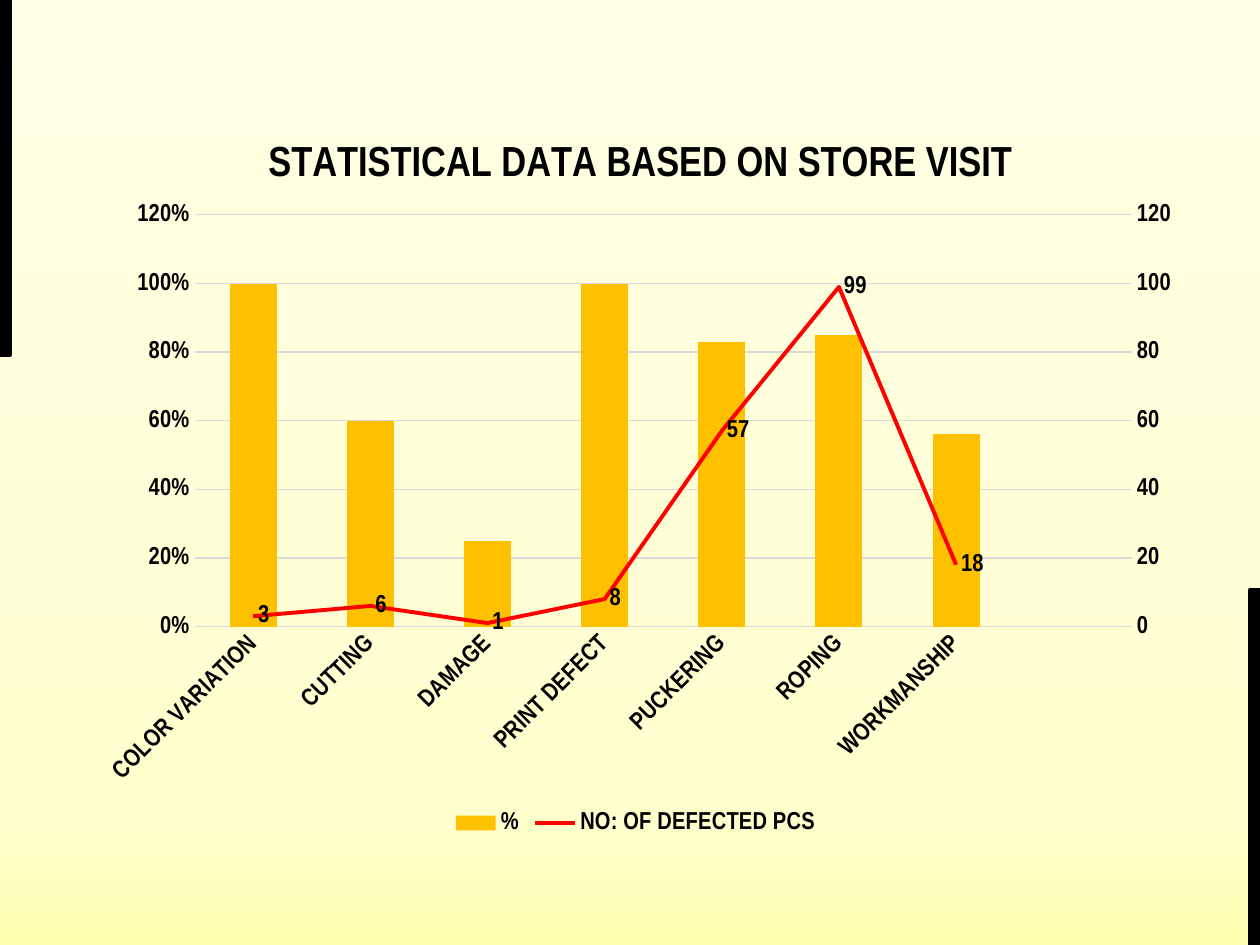
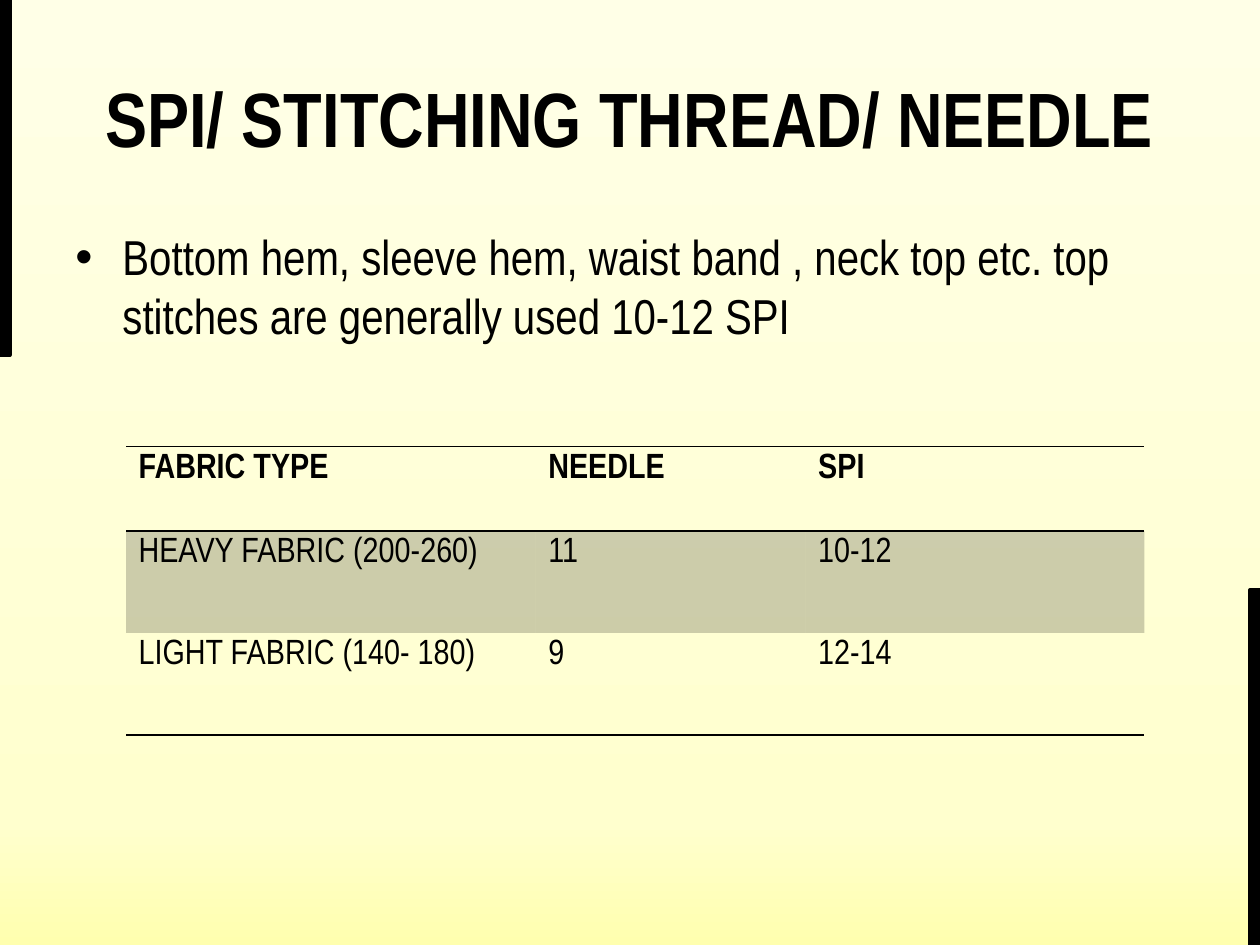
"""Build two slides on garment defects and stitching settings."""
from copy import deepcopy
from dataclasses import dataclass

from lxml.etree import SubElement
from pptx import Presentation
from pptx.chart.axis import ValueAxis
from pptx.chart.data import CategoryChartData
from pptx.dml.color import RGBColor
from pptx.enum.chart import (XL_CHART_TYPE, XL_LABEL_POSITION, XL_LEGEND_POSITION,
                             XL_MARKER_STYLE, XL_TICK_MARK)
from pptx.enum.shapes import MSO_SHAPE
from pptx.enum.text import MSO_ANCHOR, PP_ALIGN
from pptx.oxml import parse_xml
from pptx.oxml.ns import nsdecls, qn
from pptx.util import Cm, Pt


@dataclass(frozen=True)
class Theme:
    """Colours, type sizes and the font of the deck."""
    font: str = "Arial Narrow"
    ink: str = "000000"
    bar: str = "FFC000"
    trend: str = "FF0000"
    grid: str = "D9D9D9"
    gradient: tuple = ((0, "FFFFAF"), (13, "FFFFCE"), (100, "FFFFE7"))
    title: int = 44
    body: int = 28
    table: int = 20
    chart_title: int = 24
    chart: int = 14


THEME = Theme()
WIDTH, HEIGHT = 25.4, 19.05
NO_TABLE_STYLE = "{2D5ABB26-0587-4C30-8999-92F81FD0307C}"

CATEGORIES = ("COLOR VARIATION", "CUTTING", "DAMAGE", "PRINT DEFECT",
              "PUCKERING", "ROPING", "WORKMANSHIP", "")
SHARES = (1, 0.6, 0.25, 1, 0.83, 0.85, 0.56, None)
PIECES = (3, 6, 1, 8, 57, 99, 18, None)

FABRICS = (("FABRIC TYPE", "NEEDLE", "SPI"),
           ("HEAVY FABRIC (200-260)", "11", "10-12"),
           ("LIGHT FABRIC (140- 180)", "9", "12-14"))
COLUMN_WIDTHS = (8.26, 5.44, 6.83)
ROW_HEIGHTS = (1.7, 2.06, 2.06)


def color(value):
    """Turn a hex string into a colour."""
    return RGBColor.from_string(value)


def set_font(font, size, bold=False):
    """Apply the deck's font and ink."""
    font.name, font.size, font.bold = THEME.font, Pt(size), bold
    font.color.rgb = color(THEME.ink)


def add_span(para, text, size, bold=False):
    """Add one formatted run."""
    span = para.add_run()
    span.text = text
    set_font(span.font, size, bold)


def add_rectangle(page, left, top, width, height):
    """Add a rectangle without shadow."""
    box = page.shapes.add_shape(MSO_SHAPE.RECTANGLE, Cm(left), Cm(top), Cm(width), Cm(height))
    box.shadow.inherit = False
    return box


def add_backdrop(page):
    """Cover the page with the upward gradient."""
    box = add_rectangle(page, 0, 0, WIDTH, HEIGHT)
    box.line.fill.background()
    box.fill.gradient()
    box.fill.gradient_angle = 90
    stops = box._element.spPr.find(".//" + qn("a:gsLst"))
    for stop in list(stops):
        stops.remove(stop)
    for position, value in THEME.gradient:
        stop = SubElement(stops, qn("a:gs"), pos=str(position * 1000))
        SubElement(stop, qn("a:srgbClr"), val=value)


def add_edge_bars(page):
    """Add the black bars at the upper left and lower right edges."""
    width, height = 0.2, 7.16
    for left, top in ((0, 0), (WIDTH - width, HEIGHT - height)):
        bar = add_rectangle(page, left, top, width, height)
        bar.fill.solid()
        bar.fill.fore_color.rgb = color(THEME.ink)
        bar.line.color.rgb = color(THEME.ink)
        bar.line.width = Pt(2)


def add_page(deck):
    """Add a blank page with the backdrop."""
    page = deck.slides.add_slide(deck.slide_layouts[6])
    add_backdrop(page)
    return page


def add_text(page, top, height, text, size, bold=False):
    """Add a wrapped text box and return its frame and paragraph."""
    box = page.shapes.add_textbox(Cm(1.27), Cm(top), Cm(22.86), Cm(height))
    frame = box.text_frame
    frame.word_wrap = True
    para = frame.paragraphs[0]
    add_span(para, text, size, bold)
    return frame, para


def add_title(page, text):
    """Add the centred page title."""
    frame, para = add_text(page, 0.76, 3.18, text, THEME.title, True)
    frame.vertical_anchor = MSO_ANCHOR.MIDDLE
    para.alignment = PP_ALIGN.CENTER


def add_bullet(page, text):
    """Add a bulleted body paragraph."""
    _, para = add_text(page, 4.45, 12.57, text, THEME.body)
    para.space_before = Pt(THEME.body * 0.2)
    properties = para._p.get_or_add_pPr()
    properties.set("marL", str(Cm(0.95)))
    properties.set("indent", str(-Cm(0.95)))
    SubElement(properties, qn("a:buFont"), typeface="Arial")
    SubElement(properties, qn("a:buChar"), char="•")


def add_border(cell, side):
    """Rule one side of a cell."""
    line = SubElement(cell._tc.get_or_add_tcPr(), qn("a:" + side), w=str(Pt(1)))
    fill = SubElement(line, qn("a:solidFill"))
    SubElement(fill, qn("a:srgbClr"), val=THEME.ink)


def fill_cell(cell, shaded):
    """Shade a cell with translucent ink or leave it clear."""
    if not shaded:
        cell.fill.background()
        return
    cell.fill.solid()
    cell.fill.fore_color.rgb = color(THEME.ink)
    ink = cell._tc.tcPr.find(qn("a:solidFill") + "/" + qn("a:srgbClr"))
    SubElement(ink, qn("a:alpha"), val="20000")


def add_fabric_table(page):
    """Add the table of fabrics, needles and stitches per inch."""
    frame = page.shapes.add_table(len(FABRICS), len(COLUMN_WIDTHS), Cm(2.54), Cm(9),
                                  Cm(sum(COLUMN_WIDTHS)), Cm(sum(ROW_HEIGHTS)))
    table = frame.table
    table._tbl.tblPr.find(qn("a:tableStyleId")).text = NO_TABLE_STYLE
    table.horz_banding = False
    for column, width in zip(table.columns, COLUMN_WIDTHS):
        column.width = Cm(width)
    borders = (("lnT", "lnB"), (), ("lnB",))
    for row, (height, texts) in enumerate(zip(ROW_HEIGHTS, FABRICS)):
        table.rows[row].height = Cm(height)
        for column, text in enumerate(texts):
            cell = table.cell(row, column)
            add_span(cell.text_frame.paragraphs[0], text, THEME.table, row == 0)
            for side in borders[row]:
                add_border(cell, side)
            fill_cell(cell, row == 1)


def place(parent, index, inner=False, **fractions):
    """Give a chart part a manual layout in fractions of the chart."""
    for layout in parent.findall(qn("c:layout")):
        parent.remove(layout)
    layout = parse_xml(f"<c:layout {nsdecls('c')}><c:manualLayout/></c:layout>")
    manual = layout[0]
    if inner:
        SubElement(manual, qn("c:layoutTarget"), val="inner")
    for mode in ("xMode", "yMode"):
        SubElement(manual, qn("c:" + mode), val="edge")
    for name, value in fractions.items():
        SubElement(manual, qn("c:" + name), val=str(value))
    parent.insert(index, layout)


def style_axis(axis):
    """Set tick marks and labels of an axis."""
    axis.major_tick_mark = axis.minor_tick_mark = XL_TICK_MARK.NONE
    set_font(axis.tick_labels.font, THEME.chart, True)


def style_rule(line):
    """Draw a thin grey chart rule."""
    line.color.rgb = color(THEME.grid)
    line.width = Pt(0.75)


def scale_axis(axis, top, number_format):
    """Scale a value axis from zero in six steps."""
    axis.minimum_scale, axis.maximum_scale = 0, top
    axis.major_unit = round(top / 6, 2)
    axis.tick_labels.number_format = number_format
    axis.tick_labels.number_format_is_linked = False


def style_axes(chart):
    """Format the category axis and the left value axis."""
    category, value = chart.category_axis, chart.value_axis
    for axis in (category, value):
        style_axis(axis)
    style_rule(category.format.line)
    category.tick_labels.font.bold = True
    category._element.find(qn("c:txPr")).find(qn("a:bodyPr")).set("rot", "-2700000")
    value.format.line.fill.background()
    style_rule(value.major_gridlines.format.line)
    scale_axis(value, 1.2, "0%")


def move_to_right_axis(chart):
    """Turn the second series into a line on a right-hand axis."""
    area = chart._chartSpace.chart.plotArea
    bars = area.find(qn("c:barChart"))
    series = bars.findall(qn("c:ser"))[1]
    bars.remove(series)
    for inverted in series.findall(qn("c:invertIfNegative")):
        series.remove(inverted)
    lines = parse_xml(f"<c:lineChart {nsdecls('c')}><c:grouping val='standard'/>"
                      "<c:varyColors val='0'/></c:lineChart>")
    lines.append(series)
    SubElement(lines, qn("c:marker"), val="1")
    bars.addnext(lines)
    category = deepcopy(area.find(qn("c:catAx")))
    value = deepcopy(area.find(qn("c:valAx")))
    value.remove(value.find(qn("c:majorGridlines")))
    for axis, own, other in ((category, "5001", "5002"), (value, "5002", "5001")):
        axis.find(qn("c:axId")).set("val", own)
        axis.find(qn("c:crossAx")).set("val", other)
        SubElement(lines, qn("c:axId"), val=own)
    category.find(qn("c:delete")).set("val", "1")
    value.find(qn("c:axPos")).set("val", "r")
    value.find(qn("c:crosses")).set("val", "max")
    area.findall(qn("c:valAx"))[-1].addnext(value)
    value.addnext(category)
    scale_axis(ValueAxis(value), 120, "General")


def style_series(chart):
    """Format the bars, the line and its labels."""
    bars, lines = chart.plots
    bars.gap_width = 150
    bars.vary_by_categories = False
    fill = bars.series[0].format.fill
    fill.solid()
    fill.fore_color.rgb = color(THEME.bar)
    trend = lines.series[0]
    trend.smooth = False
    trend.marker.style = XL_MARKER_STYLE.NONE
    trend.format.line.color.rgb = color(THEME.trend)
    trend.format.line.width = Pt(2.25)
    labels = trend.data_labels
    labels.show_value = True
    labels.position = XL_LABEL_POSITION.RIGHT
    set_font(labels.font, THEME.chart, True)


def add_defect_chart(page):
    """Add the chart of defect shares and defected pieces."""
    data = CategoryChartData()
    data.categories = CATEGORIES
    data.add_series("%", SHARES, "0%")
    data.add_series("NO: OF DEFECTED PCS", PIECES, "General")
    chart = page.shapes.add_chart(XL_CHART_TYPE.COLUMN_CLUSTERED, Cm(1.7), Cm(2.11),
                                  Cm(22.23), Cm(14.82), data).chart
    set_font(chart.font, THEME.chart, True)
    title = chart.chart_title
    add_span(title.text_frame.paragraphs[0], "STATISTICAL DATA BASED ON STORE VISIT",
             THEME.chart_title, True)
    place(title._element, 1, x=0.16, y=0.04)
    chart.has_legend = True
    chart.legend.position = XL_LEGEND_POSITION.BOTTOM
    chart.legend.include_in_layout = False
    set_font(chart.legend.font, THEME.chart, True)
    style_axes(chart)
    move_to_right_axis(chart)
    style_series(chart)
    place(chart._chartSpace.chart.plotArea, 0, True, x=0.1, y=0.15, w=0.85, h=0.56)


def main():
    """Build and save the deck."""
    deck = Presentation()
    deck.slide_width, deck.slide_height = Cm(WIDTH), Cm(HEIGHT)
    page = add_page(deck)
    add_defect_chart(page)
    add_edge_bars(page)
    page = add_page(deck)
    add_edge_bars(page)
    add_title(page, "SPI/ STITCHING THREAD/ NEEDLE")
    add_bullet(page, "Bottom hem, sleeve hem, waist band , neck top etc. "
                     "top stitches are generally used 10-12 SPI")
    add_fabric_table(page)
    deck.save("out.pptx")


if __name__ == "__main__":
    main()
